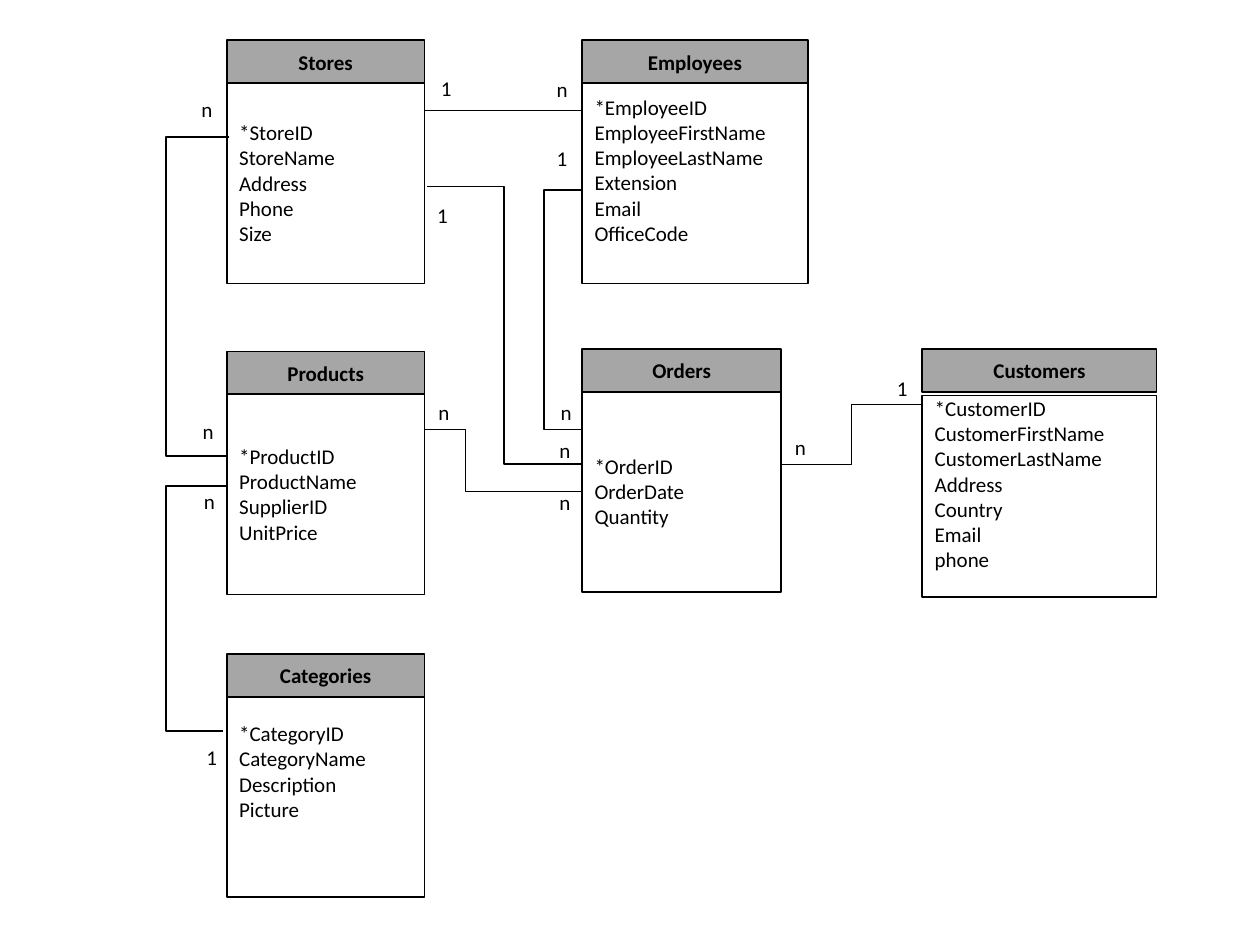
from lxml import etree
from pptx import Presentation
from pptx import util as u
from pptx.dml.color import RGBColor
from pptx.enum import shapes, text
from pptx.oxml import ns

BLACK, GRAY = "000000", "A6A6A6"
HEADER_HEIGHT, BODY_HEIGHT, LINE_HEIGHT = 0.34, 1.6, 0.2


def color(value):
    return RGBColor.from_string(value)


def write(shape, content, bold=False, align=text.PP_ALIGN.LEFT):
    shape.text_frame.text = content
    for para in shape.text_frame.paragraphs:
        para.alignment = align
        for span in para.runs:
            span.font.name = "Calibri"
            span.font.size = u.Pt(12)
            span.font.bold = bold
            span.font.color.rgb = color(BLACK)


deck = Presentation()
deck.slide_width, deck.slide_height = u.Inches(10), u.Inches(7.5)
page = deck.slides.add_slide(deck.slide_layouts[6])

entities = [
    ("Stores", 1.8, 0.32, 0.65, 1.57, 0, "*StoreID\nStoreName\nAddress\nPhone\nSize"),
    ("Orders", 4.62, 2.77, 3.1, 1.58, 0, "*OrderID\nOrderDate\nQuantity"),
    ("Products", 1.8, 2.79, 3.12, 1.57, 0, "*ProductID\nProductName\nSupplierID\nUnitPrice"),
    ("Employees", 4.62, 0.32, 0.65, 1.79, 1,
     "*EmployeeID\nEmployeeFirstName\nEmployeeLastName\nExtension\nEmail\nOfficeCode"),
    ("Customers", 7.32, 2.77, 3.14, 1.86, 1,
     "*CustomerID\nCustomerFirstName\nCustomerLastName\nAddress\vCountry\nEmail\nphone"),
    ("Categories", 1.8, 5.19, 5.52, 1.57, 2, "*CategoryID\nCategoryName\nDescription\nPicture"),
]
for name, left, header_top, body_top, width, free_lines, fields in entities:
    entity = page.shapes.add_group_shape()
    body, header = [
        entity.shapes.add_shape(shapes.MSO_SHAPE.RECTANGLE, u.Inches(left), u.Inches(top),
                                u.Inches(width), u.Inches(height))
        for top, height in [(body_top, BODY_HEIGHT), (header_top, HEADER_HEIGHT)]
    ]
    for box in (body, header):
        box.shadow.inherit = False
        box.line.color.rgb = color(BLACK)
        box.line.width = u.Pt(1)
        box.text_frame.word_wrap = True
        box.text_frame.vertical_anchor = text.MSO_ANCHOR.MIDDLE
    body.fill.background()
    body.text_frame.margin_bottom = u.Inches(0.05 + free_lines * LINE_HEIGHT)
    write(body, fields)
    header.fill.solid()
    header.fill.fore_color.rgb = color(GRAY)
    write(header, name, bold=True, align=text.PP_ALIGN.CENTER)

routes = [
    [(1.79, 3.86), (1.32, 3.86), (1.32, 5.8), (1.77, 5.8)],
    [(4.63, 1.51), (4.32, 1.51), (4.32, 3.41), (4.63, 3.41)],
    [(1.82, 1.09), (1.32, 1.09), (1.32, 3.62), (1.81, 3.62)],
    [(3.39, 1.48), (4, 1.48), (4, 3.68), (4.62, 3.68), (4.62, 3.7)],
]
for points in routes:
    corners = [(u.Inches(x), u.Inches(y)) for x, y in points]
    outline = page.shapes.build_freeform(*corners[0])
    outline.add_line_segments(corners[1:], close=False)
    route = outline.convert_to_shape()
    route.shadow.inherit = False
    route.fill.background()
    route.line.color.rgb = color(BLACK)
    route.line.width = u.Pt(1)

ELBOW, STRAIGHT = shapes.MSO_CONNECTOR.ELBOW, shapes.MSO_CONNECTOR.STRAIGHT
links = [
    (ELBOW, (3.37, 3.41, 4.62, 3.9), 0.26),
    (ELBOW, (6.2, 3.69, 7.32, 3.21), 0.5),
    (STRAIGHT, (3.37, 0.88, 4.63, 0.88), None),
]
for kind, ends, bend in links:
    link = page.shapes.add_connector(kind, *[u.Inches(end) for end in ends])
    link.line.color.rgb = color(BLACK)
    link.line.width = u.Pt(0.5)
    properties = link._element.spPr
    etree.SubElement(properties, ns.qn("a:effectLst"))
    if bend is not None:
        guides = properties.find(ns.qn("a:prstGeom")).get_or_add_avLst()
        etree.SubElement(guides, ns.qn("a:gd"), name="adj1", fmla=f"val {round(bend * 100000)}")

cardinalities = [
    ("n", 3.38, 3.12), ("n", 4.34, 3.84), ("n", 1.52, 3.83), ("1", 1.54, 5.86),
    ("n", 6.21, 3.4), ("1", 7.02, 2.93), ("1", 4.32, 1.11), ("n", 4.35, 3.12),
    ("n", 1.5, 0.72), ("n", 1.51, 3.27), ("n", 4.34, 3.42), ("1", 3.37, 1.56),
    ("1", 3.4, 0.55), ("n", 4.32, 0.56),
]
for mark, left, top in cardinalities:
    label = page.shapes.add_textbox(u.Inches(left), u.Inches(top), u.Inches(0.29), u.Inches(0.3))
    label.text_frame.word_wrap = False
    label.text_frame.auto_size = text.MSO_AUTO_SIZE.SHAPE_TO_FIT_TEXT
    write(label, mark)

deck.save("out.pptx")
